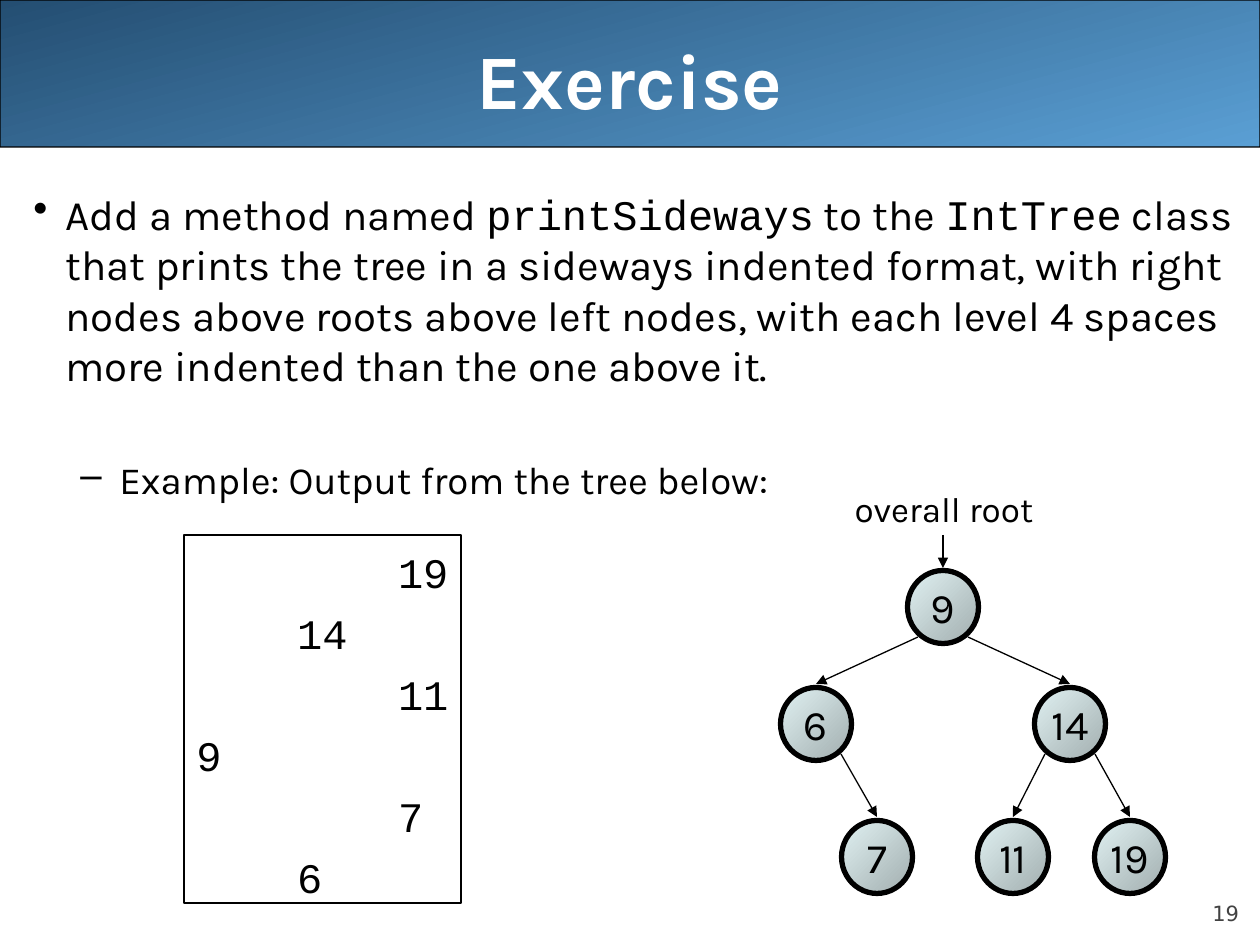
import pptx
import pptx.dml.color
import pptx.enum.shapes
import pptx.enum.text
import pptx.oxml.ns
import pptx.util
from lxml import etree

RGBColor = pptx.dml.color.RGBColor
Pt = pptx.util.Pt
SHAPE = pptx.enum.shapes.MSO_SHAPE
ALIGN = pptx.enum.text.PP_ALIGN
ANCHOR = pptx.enum.text.MSO_ANCHOR
qn = pptx.oxml.ns.qn

BLACK = RGBColor(0x00, 0x00, 0x00)
WHITE = RGBColor(0xFF, 0xFF, 0xFF)
GRAY = RGBColor(0x42, 0x42, 0x42)
BANNER_DARK = RGBColor(0x24, 0x4E, 0x72)
BANNER_LIGHT = RGBColor(0x5A, 0x9F, 0xD4)
NODE_DARK = RGBColor(0xA1, 0xAD, 0xAE)
NODE_LIGHT = RGBColor(0xE1, 0xF2, 0xF3)
SANS, MONO = "Karla", "Courier New"
PX = 914400 / 126


def px(*lengths):
    return [round(length * PX) for length in lengths]


def style(paragraph, size, name=SANS, color=BLACK, align=ALIGN.LEFT):
    paragraph.alignment = align
    paragraph.font.size = Pt(size)
    paragraph.font.name = name
    paragraph.font.color.rgb = color


deck = pptx.Presentation()
deck.slide_width, deck.slide_height = px(1260, 945)
page = deck.slides.add_slide(deck.slide_layouts[5])
shapes = page.shapes

# Banner and title
banner = shapes.add_shape(SHAPE.ROUNDED_RECTANGLE, *px(0, 0, 1260, 147))
banner.adjustments[0] = 0.001
banner.shadow.inherit = False
banner.fill.gradient()
banner.fill.gradient_angle = 285
for stop, color in zip(banner.fill.gradient_stops, (BANNER_DARK, BANNER_LIGHT)):
    stop.color.rgb = color
banner.line.color.rgb = BLACK
banner.line.width = Pt(0.75)

title = shapes.title
title.left, title.top, title.width, title.height = px(63, 0, 1134, 158)
title.text_frame.text = "Exercise"
title.text_frame.vertical_anchor = ANCHOR.MIDDLE
style(title.text_frame.paragraphs[0], 44, color=WHITE, align=ALIGN.CENTER)
title.text_frame.paragraphs[0].font.bold = True
banner._element.addnext(title._element)

# Slide number
number = shapes.add_textbox(*px(1134, 876, 105, 50)).text_frame
number.margin_left = number.margin_right = number.margin_top = number.margin_bottom = 0
number.word_wrap = True
number.vertical_anchor = ANCHOR.BOTTOM
number.text = "19"
style(number.paragraphs[0], 12, "DejaVu Sans", GRAY, ALIGN.RIGHT)

# Task text
body = shapes.add_textbox(*px(21, 179, 1239, 714)).text_frame
body.word_wrap = True
body.margin_top = px(9)[0]
task, example = body.paragraphs[0], body.add_paragraph()
for paragraph, bullet, margin, hang in ((task, "•", 32, 32), (example, "–", 86, 39)):
    props = paragraph._p.get_or_add_pPr()
    props.set("marL", str(px(margin)[0]))
    props.set("indent", str(-px(hang)[0]))
    etree.SubElement(props, qn("a:buChar")).set("char", bullet)
for words, name in (
    ("Add a method named ", SANS),
    ("printSideways", MONO),
    (" to the ", SANS),
    ("IntTree", MONO),
    (" class that prints the tree in a sideways indented format, with right "
     "nodes above roots above left nodes, with each level 4 spaces more "
     "indented than the one above it.", SANS),
):
    span = task.add_run()
    span.text = words
    span.font.name = name
style(task, 24)
task.line_spacing = Pt(28.9)
example.text = "Example: Output from the tree below:"
example.level = 1
example.space_before = Pt(37.5)
style(example, 22)

# Tree: value -> centre, and the value of its parent
NODE_WIDTH, NODE_HEIGHT = 71, 73
centers = {9: (943, 607), 6: (816, 724), 14: (1070, 724),
           7: (877, 857), 11: (1013, 857), 19: (1130, 857)}
parents = {6: 9, 14: 9, 7: 6, 11: 14, 19: 14}

for value, (x, y) in centers.items():
    node = shapes.add_shape(SHAPE.OVAL, *px(
        x - NODE_WIDTH / 2, y - NODE_HEIGHT / 2, NODE_WIDTH, NODE_HEIGHT))
    node.shadow.inherit = False
    node.fill.gradient()
    node.fill.gradient_angle = 135
    for stop, color in zip(node.fill.gradient_stops, (NODE_DARK, NODE_LIGHT)):
        stop.color.rgb = color
    node.line.color.rgb = BLACK
    node.line.width = Pt(3)
    node.text_frame.word_wrap = False
    node.text_frame.vertical_anchor = ANCHOR.MIDDLE
    node.text_frame.text = str(value)
    style(node.text_frame.paragraphs[0], 24, align=ALIGN.CENTER)

arrows = [(943, 535, 943, 568)]
for child, parent in parents.items():
    (x, y), (parent_x, parent_y) = centers[child], centers[parent]
    side = 25 if x > parent_x else -25
    arrows.append((parent_x + side, parent_y + 30, x, y - 40))
for ends in arrows:
    arrow = shapes.add_connector(pptx.enum.shapes.MSO_CONNECTOR.STRAIGHT, *px(*ends))
    arrow.line.color.rgb = BLACK
    arrow.line.width = Pt(0.75)
    etree.SubElement(arrow.line._get_or_add_ln(), qn("a:tailEnd")).set("type", "triangle")
    etree.SubElement(arrow._element.spPr, qn("a:effectLst"))

root_label = shapes.add_textbox(*px(837, 481, 214, 55)).text_frame
root_label.word_wrap = False
root_label.text = "overall root"
style(root_label.paragraphs[0], 20, align=ALIGN.CENTER)

# Printed output
output = shapes.add_shape(SHAPE.RECTANGLE, *px(184, 535, 277, 368))
output.shadow.inherit = False
output.fill.background()
output.line.color.rgb = BLACK
output.line.width = Pt(0.75)
listing = output.text_frame
listing.word_wrap = False
listing.vertical_anchor = ANCHOR.TOP
listing.margin_top = px(11)[0]
listing.text = "\n".join(
    ["        19", "    14", "        11", "9", "        7", "    6"])
for row, paragraph in enumerate(listing.paragraphs):
    style(paragraph, 24, MONO)
    paragraph.line_spacing = Pt(28.9)
    if row:
        paragraph.space_before = Pt(6)

deck.save("out.pptx")
